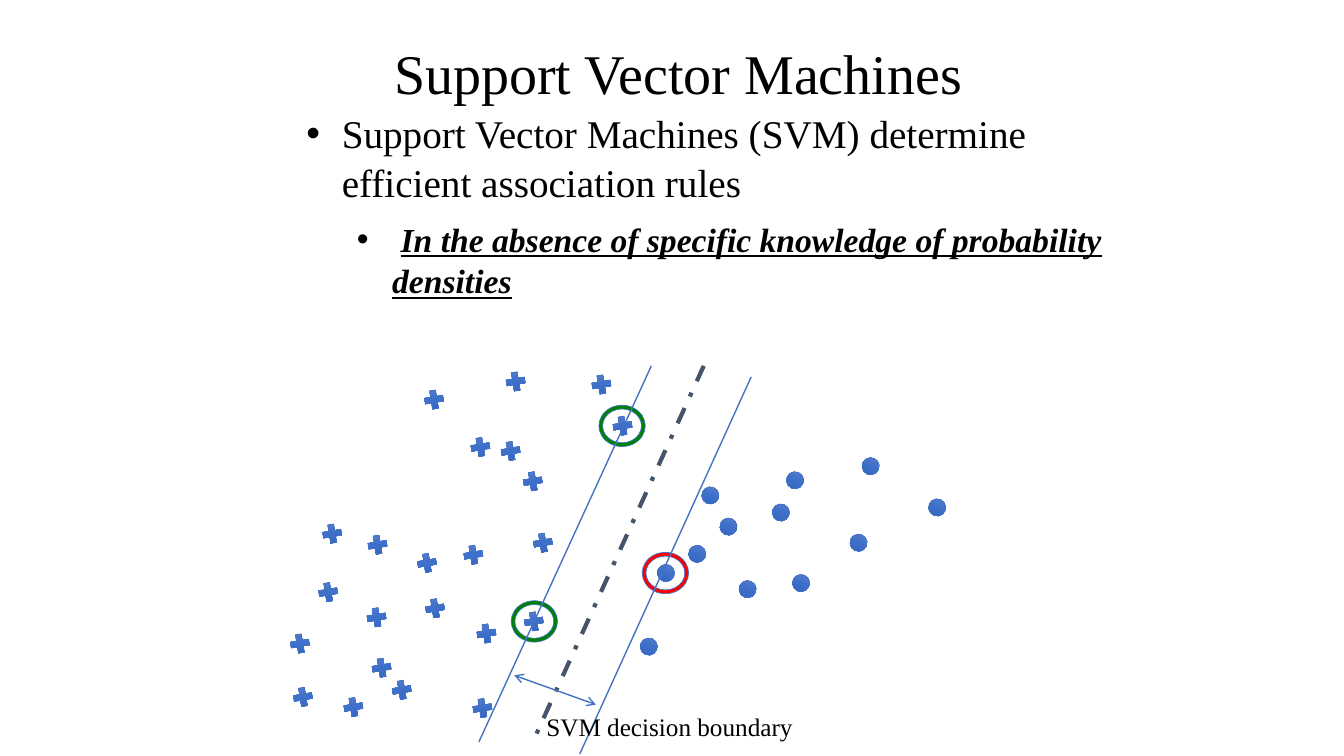
from typing import NamedTuple

from pptx import Presentation
from pptx.dml.color import RGBColor
from pptx.enum.dml import MSO_LINE
from pptx.enum.shapes import MSO_CONNECTOR, MSO_SHAPE
from pptx.enum.text import MSO_ANCHOR, PP_ALIGN
from pptx.oxml import parse_xml
from pptx.oxml.ns import nsdecls, qn
from pptx.util import Inches, Pt

PLUS, ELLIPSE, DONUT = MSO_SHAPE.MATH_PLUS, MSO_SHAPE.OVAL, MSO_SHAPE.DONUT
STRAIGHT = MSO_CONNECTOR.STRAIGHT
DASH_DOT = MSO_LINE.DASH_DOT
MIDDLE, CENTER = MSO_ANCHOR.MIDDLE, PP_ALIGN.CENTER

FONT = "Times New Roman"
BLACK, BLUE, SLATE, RED, GREEN = "000000", "4472C4", "44546A", "FF0000", "008000"
MARKER_GRADIENT = ((0, "6183CB"), (50, "3E70CA"), (100, "3062BB"))


class MarkerClass(NamedTuple):
    kind: MSO_SHAPE
    size: float
    rotation: float
    corners: tuple


class Ring(NamedTuple):
    left: float
    top: float
    color: str


class Line(NamedTuple):
    start: tuple
    end: tuple
    color: str = BLUE
    width: float = 1
    dash: MSO_LINE | None = None
    arrows: bool = False


class Bullet(NamedTuple):
    level: int
    left: float
    size: int


PLUSES = MarkerClass(PLUS, 0.25, 350.6, (
    (3.86, 6.72), (5.84, 3.69), (5.26, 5.26), (4.99, 3.66), (5.17, 6.04), (3.66, 6.5),
    (4.11, 5.46), (4.66, 6.9), (4.64, 4.31), (4.7, 6.16), (4.19, 5.91), (3.38, 6.89),
    (6.05, 4.1), (4.57, 5.38), (4.18, 3.84), (3.13, 5.75), (2.85, 6.26), (2.88, 6.79),
    (5.16, 4.65), (3.17, 5.17), (3.61, 6), (4.94, 4.35), (3.62, 5.28)))
DOTS = MarkerClass(ELLIPSE, 0.17, 23.2, (
    (6.52, 5.6), (6.96, 4.83), (6.83, 5.41), (7.66, 5), (7.33, 5.76), (7.8, 4.68),
    (8.43, 5.3), (6.35, 6.33), (8.55, 4.54), (7.86, 5.7), (9.21, 4.95), (7.14, 5.14)))
SUPPORT_RINGS = (Ring(6.37, 5.48, RED), Ring(5.94, 4.02, GREEN), Ring(5.07, 5.96, GREEN))
BOUNDARY = Line((6.98, 3.63), (5.28, 7.37), SLATE, 3, DASH_DOT)
MARGINS = (Line((6.46, 3.63), (4.75, 7.36)), Line((7.45, 3.74), (5.75, 7.48)))
MARGIN_WIDTH = Line((5.1, 6.7), (5.91, 6.99), arrows=True)


def rgb(color: str) -> RGBColor:
    return RGBColor.from_string(color)


def style_outline(shape) -> None:
    shape.shadow.inherit = False
    shape.line.color.rgb = rgb(BLUE)
    shape.line.width = Pt(0.5)


def fill_gradient(shape) -> None:
    """Apply the three-stop vertical gradient right after the shape's geometry."""
    stops = "".join(
        f'<a:gs pos="{percent * 1000}"><a:srgbClr val="{color}"/></a:gs>'
        for percent, color in MARKER_GRADIENT)
    gradient = parse_xml(
        f'<a:gradFill {nsdecls("a")} rotWithShape="1"><a:gsLst>{stops}</a:gsLst>'
        '<a:lin ang="5400000" scaled="0"/></a:gradFill>')
    shape.element.spPr.find(qn("a:prstGeom")).addnext(gradient)


def draw_markers(slide, markers: MarkerClass) -> None:
    group = slide.shapes.add_group_shape()
    size = Inches(markers.size)
    for left, top in markers.corners:
        shape = group.shapes.add_shape(markers.kind, Inches(left), Inches(top), size, size)
        shape.rotation = markers.rotation
        style_outline(shape)
        fill_gradient(shape)


def draw_ring(slide, ring: Ring) -> None:
    shape = slide.shapes.add_shape(
        DONUT, Inches(ring.left), Inches(ring.top), Inches(0.46), Inches(0.41))
    shape.adjustments[0] = 0.09
    shape.fill.solid()
    shape.fill.fore_color.rgb = rgb(ring.color)
    style_outline(shape)


def draw_line(slide, line: Line) -> None:
    connector = slide.shapes.add_connector(
        STRAIGHT, *(Inches(value) for value in line.start + line.end))
    connector.line.color.rgb = rgb(line.color)
    connector.line.width = Pt(line.width)
    if line.dash is not None:
        connector.line.dash_style = line.dash
    properties = connector.element.spPr
    if line.arrows:
        outline = properties.find(qn("a:ln"))
        for end in ("headEnd", "tailEnd"):
            outline.append(parse_xml(f'<a:{end} {nsdecls("a")} type="arrow"/>'))
    properties.append(parse_xml(f'<a:effectLst {nsdecls("a")}/>'))


def add_text_frame(slide, left: float, top: float, width: float, height: float):
    box = slide.shapes.add_textbox(Inches(left), Inches(top), Inches(width), Inches(height))
    return box.text_frame


def remove_insets(frame) -> None:
    frame.word_wrap = True
    frame.margin_left = frame.margin_right = frame.margin_top = frame.margin_bottom = 0


def set_font(paragraph, size: int) -> None:
    paragraph.font.name = FONT
    paragraph.font.size = Pt(size)
    paragraph.font.color.rgb = rgb(BLACK)


def format_bullet(paragraph, bullet: Bullet) -> None:
    paragraph.level = bullet.level
    paragraph.line_spacing = 1.04
    properties = paragraph._p.get_or_add_pPr()
    properties.set("marL", str(Inches(bullet.left)))
    properties.set("indent", str(Inches(-0.35)))
    properties.append(parse_xml(f'<a:buFont {nsdecls("a")} typeface="Arial"/>'))
    properties.append(parse_xml(f'<a:buChar {nsdecls("a")} char="•"/>'))
    set_font(paragraph, bullet.size)


def add_title(slide) -> None:
    frame = add_text_frame(slide, 1.81, 0.1, 9.83, 1.23)
    remove_insets(frame)
    frame.vertical_anchor = MIDDLE
    paragraph = frame.paragraphs[0]
    paragraph.text = "Support Vector Machines"
    paragraph.alignment = CENTER
    set_font(paragraph, 40)


def add_body(slide) -> None:
    frame = add_text_frame(slide, 1.92, 1.07, 9.5, 6.43)
    remove_insets(frame)
    statement = frame.paragraphs[0]
    statement.text = "Support Vector Machines (SVM) determine efficient association rules"
    format_bullet(statement, Bullet(1, 1.47, 28))

    condition = frame.add_paragraph()
    condition.space_before = Pt(8)
    format_bullet(condition, Bullet(2, 1.97, 24))
    condition.add_run().text = " "
    emphasis = condition.add_run()
    emphasis.text = "In the absence of specific knowledge of probability densities"
    emphasis.font.bold = emphasis.font.italic = emphasis.font.underline = True


def add_boundary_label(slide) -> None:
    frame = add_text_frame(slide, 5.32, 7.01, 2.68, 0.4)
    frame.word_wrap = False
    paragraph = frame.paragraphs[0]
    paragraph.text = "SVM decision boundary"
    set_font(paragraph, 18)


def main() -> None:
    presentation = Presentation()
    presentation.slide_width, presentation.slide_height = Inches(13.33), Inches(7.5)
    slide = presentation.slides.add_slide(presentation.slide_layouts[6])
    add_title(slide)
    add_body(slide)
    for markers in (PLUSES, DOTS):
        draw_markers(slide, markers)
    draw_line(slide, BOUNDARY)
    for ring in SUPPORT_RINGS:
        draw_ring(slide, ring)
    for margin in MARGINS:
        draw_line(slide, margin)
    add_boundary_label(slide)
    draw_line(slide, MARGIN_WIDTH)
    presentation.save("out.pptx")


if __name__ == "__main__":
    main()
